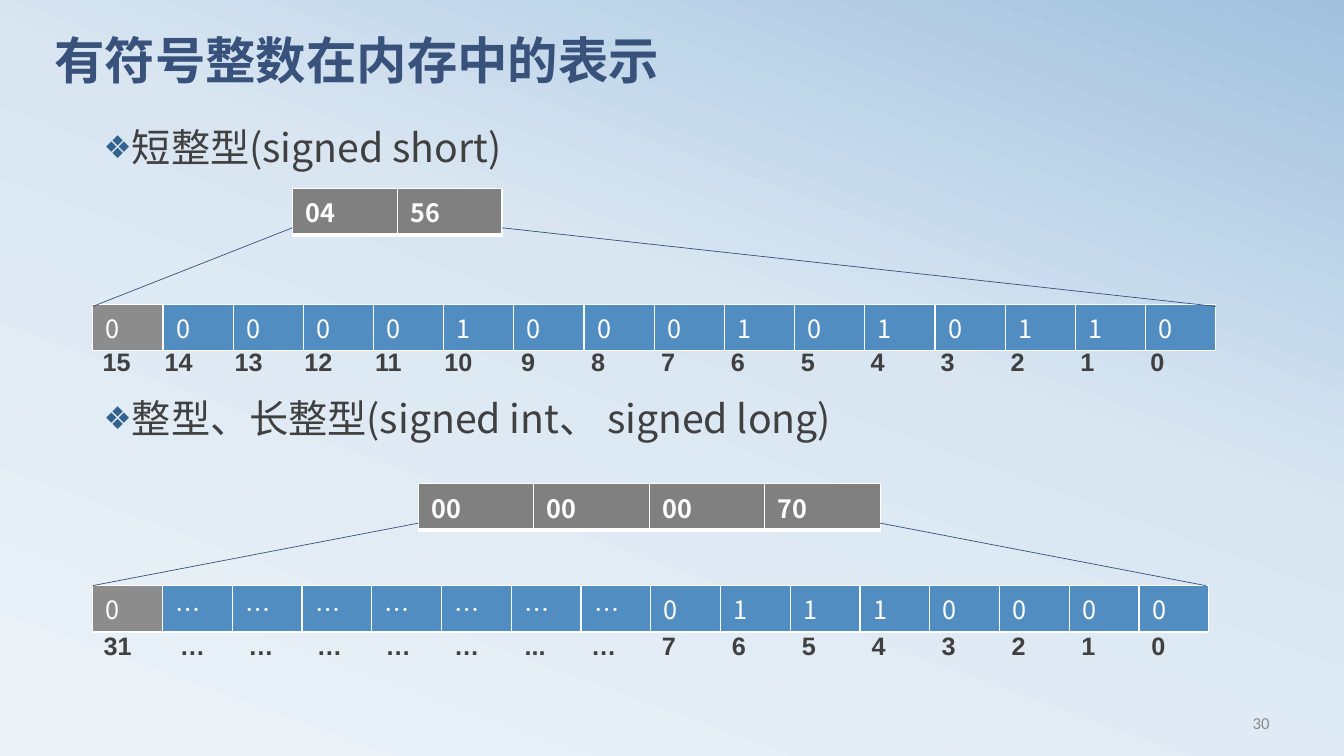
from copy import deepcopy

from lxml import etree
from pptx import Presentation
from pptx import util as u
from pptx.dml.color import RGBColor
from pptx.enum import shapes, text
from pptx.oxml import ns

NAVY = RGBColor(0x39, 0x52, 0x7B)
BULLET = RGBColor(0x32, 0x62, 0x8E)
DARK = RGBColor(0x40, 0x40, 0x40)
BYTE_GREY = RGBColor(0x80, 0x80, 0x80)
SIGN_GREY = RGBColor(0x8C, 0x8C, 0x8C)
BLUE = RGBColor(0x52, 0x8D, 0xC2)
WHITE = RGBColor(0xFF, 0xFF, 0xFF)
BACKGROUND = [
    (0, RGBColor(0xEC, 0xF3, 0xF8)),
    (0.58, RGBColor(0xD9, 0xE6, 0xF2)),
    (1, RGBColor(0xA1, 0xC1, 0xDE)),
]
CJK = "Noto Sans CJK SC"
BITS_LEFT = 0.92
BIT_COUNT = 16
NUMBER_PITCH = 10.4 / (BIT_COUNT - 1)


def add_element(parent, tag, **attributes):
    element = etree.SubElement(parent, ns.qn(tag))
    for name, value in attributes.items():
        element.set(name, str(value))
    return element


def paint_background(page):
    fill = page.background.fill
    fill.gradient()
    fill.gradient_angle = 70
    first = fill.gradient_stops[0]._gs
    first.addnext(deepcopy(first))
    for stop, (position, color) in zip(fill.gradient_stops, BACKGROUND):
        stop.position = position
        stop.color.rgb = color


def style(para, size, color, name=CJK, bold=False):
    font = para.font
    font.size = u.Pt(size)
    font.color.rgb = color
    font.name = name
    font.bold = bold
    add_element(font._element, "a:ea", typeface=CJK)


def add_text(page, left, top, width, height, lines):
    box = page.shapes.add_textbox(*map(u.Inches, (left, top, width, height)))
    frame = box.text_frame
    frame.word_wrap = True
    frame.text = "\n".join(lines)
    return frame


def add_title(page, words):
    para = add_text(page, 0.44, 0.36, 12, 0.94, [words]).paragraphs[0]
    para.line_spacing = 0.8
    style(para, 36, NAVY, "Calibri", True)


def add_headings(page, lines):
    frame = add_text(page, 0.93, 1.23, 11.25, 4.88, lines)
    for index, para in enumerate(frame.paragraphs):
        properties = para._p.get_or_add_pPr()
        properties.set("marL", str(u.Inches(0.25)))
        properties.set("indent", str(u.Inches(-0.25)))
        color = add_element(properties, "a:buClr")
        add_element(color, "a:srgbClr", val=BULLET)
        add_element(properties, "a:buSzPct", val=80000)
        add_element(properties, "a:buFont", typeface="Arial")
        add_element(properties, "a:buChar", char="❖")
        para.line_spacing = 0.9
        if index:
            para.space_before = u.Pt(163)
        style(para, 28, DARK)


def add_border(cell, tag, points):
    line = add_element(cell._tc.get_or_add_tcPr(), tag, w=u.Pt(points))
    add_element(add_element(line, "a:solidFill"), "a:srgbClr", val=WHITE)


def add_cells(page, left, top, width, values, fills, bold, bottom):
    frame = page.shapes.add_table(
        1, len(values), *map(u.Inches, (left, top, width, 0.46)))
    table = frame.table
    table.first_row = False
    table.horz_banding = False
    for column, cell, value, fill in zip(
            table.columns, table.iter_cells(), values, fills):
        column.width = u.Inches(width / len(values))
        cell.margin_left = cell.margin_right = u.Inches(0.13)
        cell.margin_top = cell.margin_bottom = u.Inches(0.05)
        cell.text = value
        style(cell.text_frame.paragraphs[0], 18, WHITE, bold=bold)
        for tag, points in (("a:lnL", 1), ("a:lnR", 1), ("a:lnT", 1), ("a:lnB", bottom)):
            add_border(cell, tag, points)
        cell.fill.solid()
        cell.fill.fore_color.rgb = fill


def add_bytes(page, left, top, width, values):
    add_cells(page, left, top, width, values, [BYTE_GREY] * len(values), True, 3)


def add_bits(page, top, width, values):
    fills = [SIGN_GREY] + [BLUE] * (BIT_COUNT - 1)
    add_cells(page, BITS_LEFT, top, width, values, fills, False, 1)


def add_ray(page, start, end):
    ray = page.shapes.add_connector(
        shapes.MSO_CONNECTOR.STRAIGHT, *map(u.Inches, start + end))
    ray.line.color.rgb = NAVY
    ray.line.width = u.Pt(0.5)
    add_element(ray._element.spPr, "a:effectLst")


def add_bit_numbers(page, left, top, labels, centers):
    para = add_text(page, left, top, 11.25, 0.4, ["\t".join(labels)]).paragraphs[0]
    tabs = add_element(para._p.get_or_add_pPr(), "a:tabLst")
    for center in centers:
        add_element(tabs, "a:tab", pos=u.Inches(center), algn="ctr")
    style(para, 18, DARK, "Arial", True)


def add_page_number(page, number):
    frame = add_text(page, 9.58, 6.97, 3.11, 0.4, [number])
    frame.vertical_anchor = text.MSO_ANCHOR.MIDDLE
    para = frame.paragraphs[0]
    para.alignment = text.PP_ALIGN.RIGHT
    style(para, 12, SIGN_GREY, "Calibri")


def main():
    deck = Presentation()
    deck.slide_width = u.Inches(13.33)
    deck.slide_height = u.Inches(7.5)
    page = deck.slides.add_slide(deck.slide_layouts[6])
    paint_background(page)
    add_page_number(page, "30")
    add_title(page, "有符号整数在内存中的表示")
    add_headings(page, ["短整型(signed short)", "整型、长整型(signed int、 signed long)"])

    add_bytes(page, 2.9, 1.87, 2.08, ["04", "56"])
    add_bits(page, 3.02, 11.14, list("0000010001010110"))
    add_ray(page, (2.9, 2.26), (BITS_LEFT, 3.04))
    add_ray(page, (4.98, 2.26), (12.06, 3.04))

    add_bytes(page, 4.15, 4.8, 4.58, ["00", "00", "00", "70"])
    add_bits(page, 5.81, 11.07, list("0…………………01110000"))
    add_ray(page, (4.15, 5.19), (BITS_LEFT, 5.81))
    add_ray(page, (8.73, 5.19), (11.96, 5.81))

    numbers = [str(bit) for bit in reversed(range(BIT_COUNT))]
    centers = [0.06 + NUMBER_PITCH * index for index in range(1, BIT_COUNT)]
    add_bit_numbers(page, BITS_LEFT, 3.39, numbers, centers)
    dots = ["…"] * 5 + ["...", "…"]
    dot_centers = [0.88 + 0.68 * index for index in range(len(dots))]
    add_bit_numbers(page, 0.93, 6.2, ["31"] + dots + numbers[8:],
                    dot_centers + centers[7:])
    deck.save("out.pptx")


if __name__ == "__main__":
    main()
